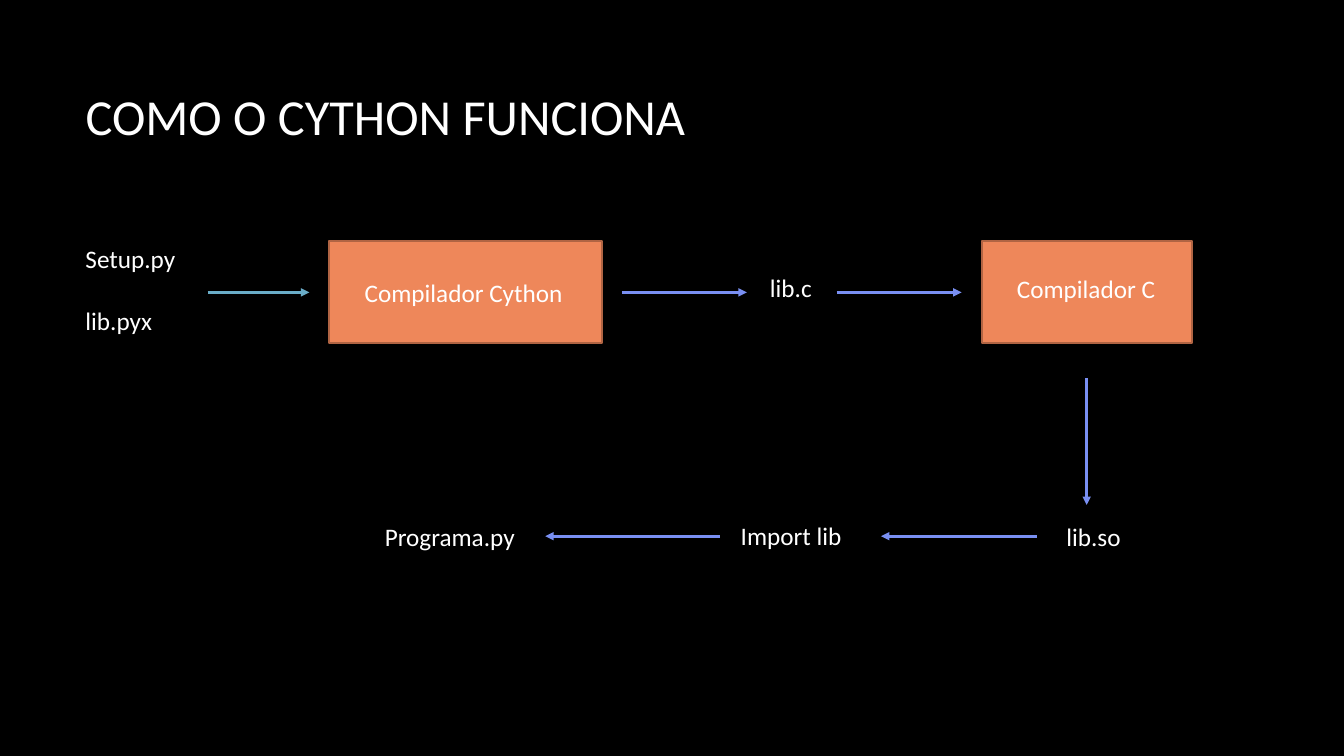
from lxml import etree
from pptx import Presentation
from pptx import util as u
from pptx.dml.color import RGBColor
from pptx.enum import shapes, text
from pptx.oxml import ns

WHITE = "FFFFFF"
BLUE = "798FF2"
TOP, LOW = 208.8, 383

LABELS = [
    ("Setup.py", 54, 170.6, 79.2),
    ("lib.pyx", 54, 214.6, 62.6),
    ("Compilador Cython", 253.4, 194.4, 157.7),
    ("lib.c", 542.9, 190.8, 44.6),
    ("Compilador C", 719.3, 191.5, 114.5),
    ("lib.so", 754.6, 368.6, 54),
    ("Import lib", 522, 368.3, 87.1),
    ("Programa.py", 267.8, 368.6, 108),
]
BOXES = [(234.7, 195.1), (701.3, 150.5)]
ARROWS = [
    (148.3, TOP, 221, TOP, "6AADC8"),
    (444.2, TOP, 533.5, TOP, BLUE),
    (597.6, TOP, 686.9, TOP, BLUE),
    (776.2, 270, 776.2, 360.7, BLUE),
    (740.9, LOW, 629.3, LOW, BLUE),
    (514.1, LOW, 389.5, LOW, BLUE),
]


def color(code):
    return RGBColor.from_string(code)


def apply(item, form):
    for name, value in form.items():
        setattr(item, name, value)


def paint(fill, code):
    fill.solid()
    fill.fore_color.rgb = color(code)


def write(shape, words, size, form):
    frame = shape.text_frame
    apply(frame, form)
    para = frame.paragraphs[0]
    para.alignment = text.PP_ALIGN.LEFT
    run = para.add_run()
    run.text = words
    apply(run.font, {"name": "Calibri", "size": u.Pt(size)})
    run.font.color.rgb = color(WHITE)


def add_title(slide, words):
    title = slide.shapes.title
    apply(title, {"left": u.Pt(54), "top": u.Pt(46.1),
                  "width": u.Pt(797.8), "height": u.Pt(72.7)})
    write(title, words, 36, {"auto_size": text.MSO_AUTO_SIZE.NONE,
                             "vertical_anchor": text.MSO_ANCHOR.MIDDLE})


def add_label(slide, words, left, top, width):
    label = slide.shapes.add_textbox(u.Pt(left), u.Pt(top), u.Pt(width), u.Pt(29))
    write(label, words, 18, {"word_wrap": False,
                             "auto_size": text.MSO_AUTO_SIZE.SHAPE_TO_FIT_TEXT})


def add_box(slide, left, width):
    box = slide.shapes.add_shape(shapes.MSO_SHAPE.RECTANGLE, u.Pt(left),
                                 u.Pt(172.1), u.Pt(width), u.Pt(72.7))
    box.shadow.inherit = False
    paint(box.fill, "EE875A")
    paint(box.line.fill, "B06443")
    box.line.width = u.Pt(1.5)


def add_arrow(slide, left, top, right, low, code):
    arrow = slide.shapes.add_connector(shapes.MSO_CONNECTOR.STRAIGHT, u.Pt(left),
                                       u.Pt(top), u.Pt(right), u.Pt(low))
    paint(arrow.line.fill, code)
    arrow.line.width = u.Pt(2)
    props = arrow._element.spPr
    etree.SubElement(props.find(ns.qn("a:ln")), ns.qn("a:tailEnd"), type="triangle")
    etree.SubElement(props, ns.qn("a:effectLst"))


def main():
    deck = Presentation()
    apply(deck, {"slide_width": u.Pt(960), "slide_height": u.Pt(540)})
    slide = deck.slides.add_slide(deck.slide_layouts[5])
    paint(slide.background.fill, "000000")
    add_title(slide, "COMO O CYTHON FUNCIONA")
    for box in BOXES:
        add_box(slide, *box)
    for label in LABELS:
        add_label(slide, *label)
    for arrow in ARROWS:
        add_arrow(slide, *arrow)
    deck.save("out.pptx")


if __name__ == "__main__":
    main()
